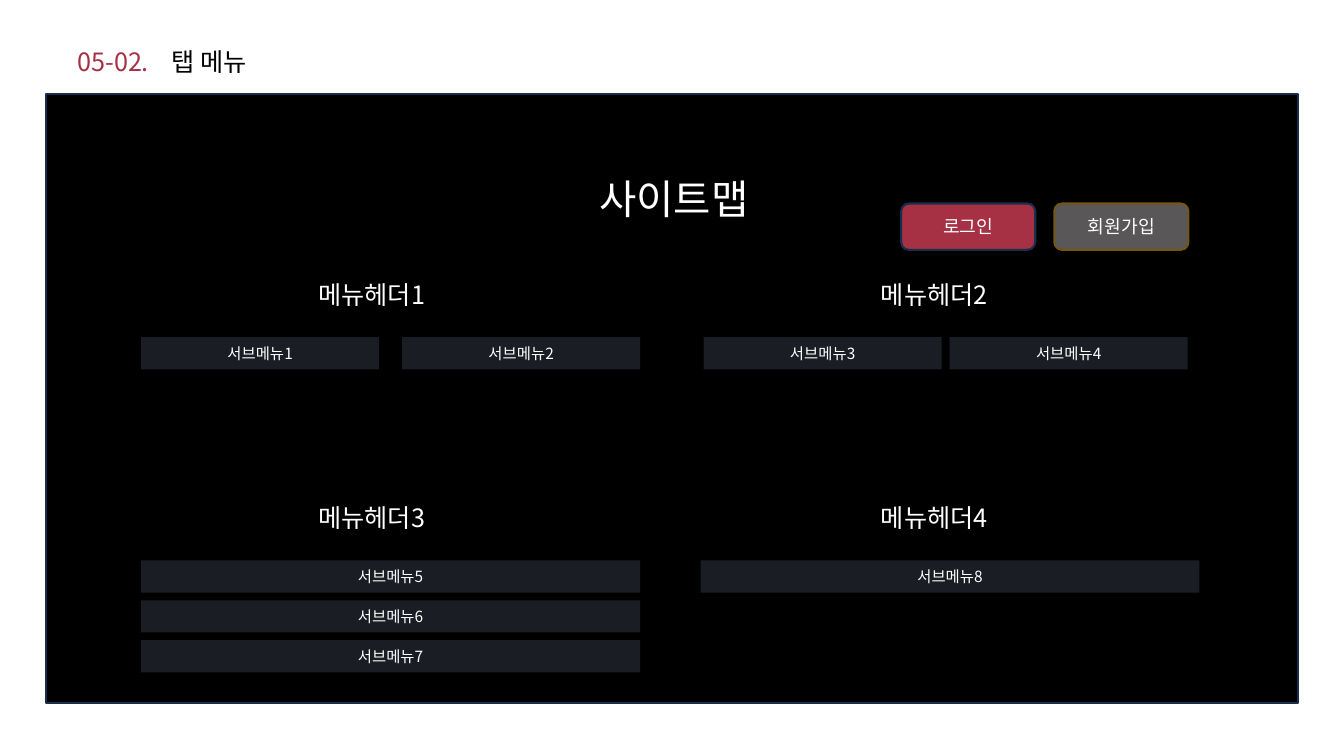
from dataclasses import dataclass

from lxml import etree
from pptx import Presentation
from pptx.dml.color import RGBColor
from pptx.enum import shapes, text
from pptx.oxml import ns
from pptx.util import Pt


@dataclass(frozen=True)
class Theme:
    font: str = "Noto Sans CJK KR"
    black: str = "000000"
    white: str = "FFFFFF"
    red: str = "A63145"
    gray: str = "595757"
    navy: str = "182F4B"
    gold: str = "745615"
    bar: str = "1A1E24"
    title: int = 29
    heading: int = 18
    button: int = 13
    item: int = 11


T = Theme()
SHAPE = shapes.MSO_SHAPE
CENTER = text.PP_ALIGN.CENTER
MIDDLE = text.MSO_ANCHOR.MIDDLE
TOP = text.MSO_ANCHOR.TOP

BAR_H, BAR_STEP = 23, 28.5
HALF_W, FULL_W = 170, 356.4


def write(tf, *runs, size, align=None, anchor=TOP, tab=None):
    """Fill a text frame with one paragraph of (wording, colour) runs."""
    tf.word_wrap = True
    tf.vertical_anchor = anchor
    p = tf.paragraphs[0]
    p.alignment = align
    if tab:
        tabs = etree.SubElement(p._p.get_or_add_pPr(), ns.qn("a:tabLst"))
        etree.SubElement(tabs, ns.qn("a:tab"), pos=str(Pt(tab)), algn="l")
    for wording, color in runs:
        r = p.add_run()
        r.text = wording
        r.font.size = Pt(size)
        r.font.name = T.font
        r.font.color.rgb = RGBColor.from_string(color)
        etree.SubElement(r.font._element, ns.qn("a:ea"), typeface=T.font)


def add_label(s, box, *runs, grow=True, **style):
    tf = s.shapes.add_textbox(*map(Pt, box)).text_frame
    write(tf, *runs, **style)
    if grow:
        tf.auto_size = text.MSO_AUTO_SIZE.SHAPE_TO_FIT_TEXT


def add_block(s, box, fill, kind=SHAPE.RECTANGLE, line=None):
    sp = s.shapes.add_shape(kind, *map(Pt, box))
    sp.shadow.inherit = False
    sp.fill.solid()
    sp.fill.fore_color.rgb = RGBColor.from_string(fill)
    if line:
        sp.line.color.rgb = RGBColor.from_string(line)
        sp.line.width = Pt(1.5)
    else:
        sp.line.fill.background()
    return sp


def add_button(s, x, label, fill, line):
    sp = add_block(s, (x, 145.4, 95.8, 33.1), fill, SHAPE.ROUNDED_RECTANGLE, line)
    sp.adjustments[0] = 0.167
    write(sp.text_frame, (label, T.white), size=T.button, align=CENTER, anchor=MIDDLE)


def add_menu(s, number, header_x, header_y, items, width):
    """Draw a header and its submenu bars, given as (number, x, row)."""
    add_label(s, (header_x, header_y, 102.2, 28.8), (f"메뉴헤더{number}", T.white),
              size=T.heading)
    for item, x, row in items:
        y = header_y + 44.8 + row * BAR_STEP
        sp = add_block(s, (x, y, width, BAR_H), T.bar)
        write(sp.text_frame, (f"서브메뉴{item}", T.white), size=T.item,
              align=CENTER, anchor=MIDDLE)


def main():
    prs = Presentation()
    prs.slide_width, prs.slide_height = Pt(960), Pt(540)
    s = prs.slides.add_slide(prs.slide_layouts[6])

    add_block(s, (33.1, 67, 894.2, 434.9), T.black, line=T.navy)
    add_label(s, (48.2, 21.6, 865.4, 44.6), ("05-02.", T.red), ("\t탭 메뉴", T.black),
              size=T.heading, anchor=MIDDLE, tab=67, grow=False)
    add_label(s, (409, 121, 144.7, 41.8), ("사이트맵", T.white),
              size=T.title, align=CENTER)

    left, right = 220.3, 622.1
    upper, lower = 196, 355.5
    add_menu(s, 1, left, upper, [(1, 100.8, 0), (2, 287.3, 0)], HALF_W)
    add_menu(s, 2, right, upper, [(3, 502.6, 0), (4, 678.4, 0)], HALF_W)
    add_menu(s, 3, left, lower, [(5 + row, 100.8, row) for row in range(3)], FULL_W)
    add_menu(s, 4, right, lower, [(8, 500.4, 0)], FULL_W)

    add_button(s, 643.7, "로그인", T.red, T.navy)
    add_button(s, 753.1, "회원가입", T.gray, T.gold)
    prs.save("out.pptx")


if __name__ == "__main__":
    main()
